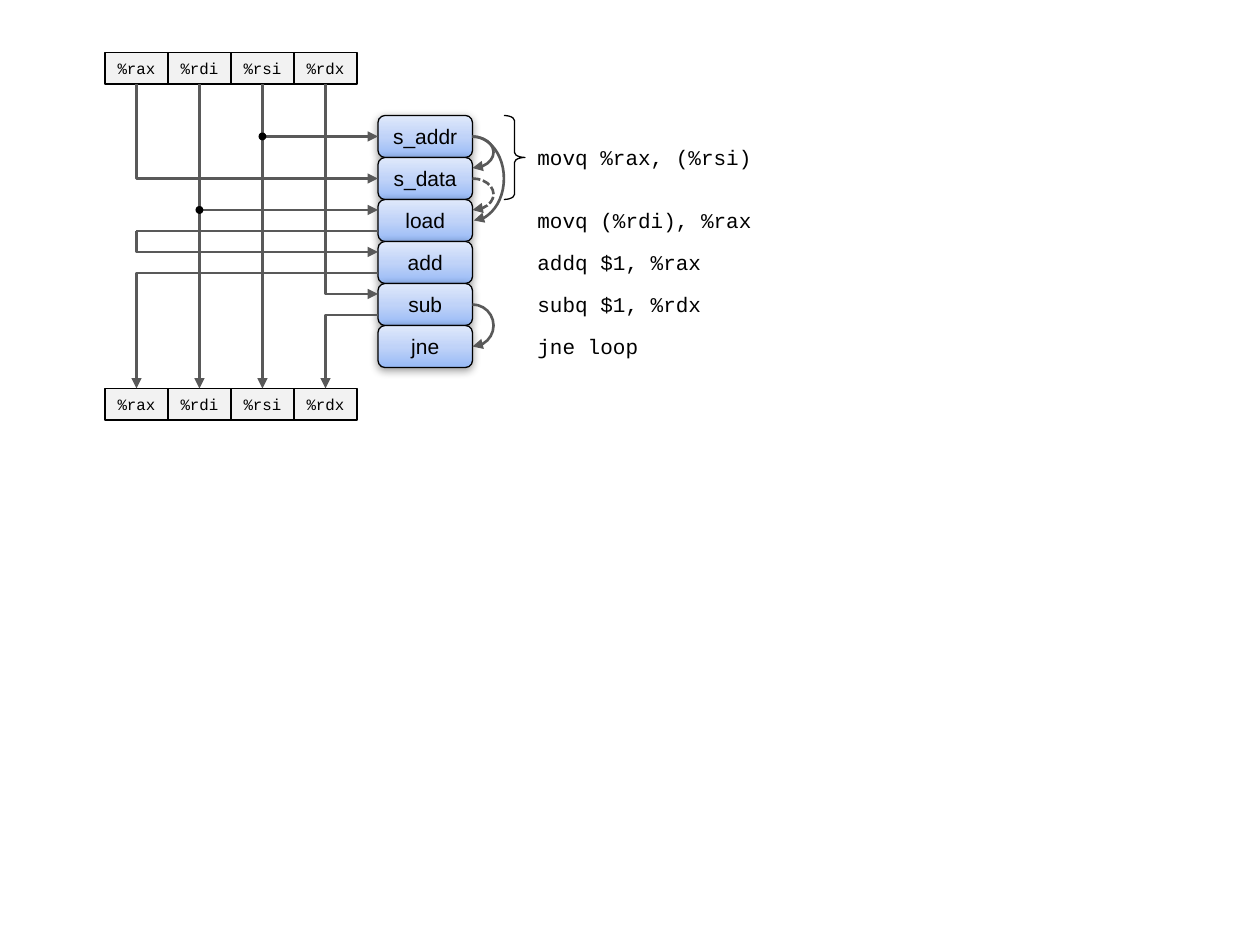
from copy import deepcopy

from lxml.etree import SubElement
from pptx import Presentation
from pptx.dml.color import RGBColor
from pptx.enum.dml import MSO_LINE
from pptx.enum.shapes import MSO_CONNECTOR, MSO_SHAPE
from pptx.enum.text import MSO_ANCHOR, PP_ALIGN
from pptx.oxml.ns import qn
from pptx.util import Inches, Pt

COLORS = {
    "ink": "000000", "wire": "595959", "register": "F2F2F2",
    "deep": "98BAF6", "mid": "C0D3F8", "pale": "E0E9FB",
}
REGISTERS = ["%rax", "%rdi", "%rsi", "%rdx"]
OPERATIONS = ["s_addr", "s_data", "load", "add", "sub", "jne"]
INSTRUCTIONS = [
    (0.5, "movq %rax, (%rsi)"), (2, "movq (%rdi), %rax"),
    (3, "addq $1, %rax"), (4, "subq $1, %rdx"), (5, "jne loop"),
]
CODE_FONT = {"name": "Courier New", "size": Pt(12)}
REGISTER_FONT = {"name": "Courier New", "size": Pt(9)}
OPERATION_FONT = {"name": "Arial", "size": Pt(12)}
NO_MARGINS = {"margin_left": 0, "margin_right": 0, "margin_top": 0, "margin_bottom": 0}
COLUMN, ROW = 6, 4


def grid(*units):
    """Turn grid units of a twelfth of an inch into lengths."""
    return [Inches(n / 12) for n in units]


def color(name):
    """Look up a named colour."""
    return RGBColor.from_string(COLORS[name])


def apply(target, values):
    """Set attributes from a dict of format values."""
    for name, value in values.items():
        setattr(target, name, value)


def write(sp, text, font, align, frame):
    """Put one line of formatted text in the middle of a shape."""
    tf = sp.text_frame
    apply(tf, {"vertical_anchor": MSO_ANCHOR.MIDDLE, **frame})
    p = tf.paragraphs[0]
    p.alignment = align
    r = p.add_run()
    r.text = text
    apply(r.font, font)
    r.font.color.rgb = color("ink")


def stroke(sp, name, width, arrow=False):
    """Colour a line and optionally give it an arrowhead."""
    sp.line.color.rgb = color(name)
    sp.line.width = Pt(width)
    if arrow:
        ln = sp._element.spPr.find(qn("a:ln"))
        SubElement(ln, qn("a:tailEnd"), type="triangle")


def add_shape(s, kind, box, fill=None):
    """Add a flat preset shape in a grid box."""
    sp = s.shapes.add_shape(kind, *grid(*box))
    sp.shadow.inherit = False
    if fill:
        sp.fill.solid()
        sp.fill.fore_color.rgb = color(fill)
    else:
        sp.fill.background()
    return sp


def add_wire(s, start, end, kind=MSO_CONNECTOR.STRAIGHT, arrow=True):
    """Add a connector between two grid points."""
    sp = s.shapes.add_connector(kind, *grid(*start, *end))
    stroke(sp, "wire", 1.5, arrow)
    SubElement(sp._element.spPr, qn("a:effectLst"))
    return sp


def add_elbow(s, start, end, preset, turn, flip, bend=None):
    """Add a bent connector turned to leave its start the right way."""
    sp = add_wire(s, start, end, MSO_CONNECTOR.ELBOW)
    (x1, y1), (x2, y2) = start, end
    w, h = abs(x2 - x1), abs(y2 - y1)
    if turn % 180:
        w, h = h, w
    box = ((x1 + x2 - w) / 2, (y1 + y2 - h) / 2, w, h)
    apply(sp, dict(zip(("left", "top", "width", "height"), grid(*box))))
    xfrm = sp._element.spPr.find(qn("a:xfrm"))
    for name in ("flipH", "flipV"):
        xfrm.set(name, "1" if name == flip else "0")
    xfrm.set("rot", str(turn * 60000))
    geom = sp._element.spPr.find(qn("a:prstGeom"))
    geom.set("prst", preset)
    if bend is not None:
        guides = geom.find(qn("a:avLst"))
        SubElement(guides, qn("a:gd"), name="adj1", fmla=f"val {bend}")


def add_registers(s, x, y):
    """Draw a row of register cells."""
    for i, name in enumerate(REGISTERS):
        sp = add_shape(s, MSO_SHAPE.RECTANGLE, (x + i * COLUMN, y, COLUMN, 3), "register")
        stroke(sp, "ink", 1)
        write(sp, name, REGISTER_FONT, PP_ALIGN.CENTER, {"word_wrap": False, **NO_MARGINS})


def shade(sp):
    """Give a block its gradient and soft shadow."""
    sp.fill.gradient()
    sp.fill.gradient_angle = 90
    stops = sp._element.spPr.find(".//" + qn("a:gsLst"))
    stops.append(deepcopy(stops[0]))
    for i, name in enumerate(("deep", "mid", "pale")):
        stop = sp.fill.gradient_stops[i]
        stop.position = i / 2
        stop.color.rgb = color(name)
    effects = sp._element.spPr.find(qn("a:effectLst"))
    shadow = SubElement(effects, qn("a:outerShdw"), blurRad=str(Pt(5)), dist=str(Pt(1.6)),
                        dir="5400000", algn="t", rotWithShape="0")
    tint = SubElement(shadow, qn("a:srgbClr"), val=COLORS["ink"])
    SubElement(tint, qn("a:alpha"), val="38000")


def add_operations(s, x, y):
    """Stack the operation blocks."""
    for i, name in enumerate(OPERATIONS):
        sp = add_shape(s, MSO_SHAPE.ROUNDED_RECTANGLE, (x, y + i * ROW, 9, ROW))
        shade(sp)
        stroke(sp, "ink", 0.75)
        write(sp, name, OPERATION_FONT, PP_ALIGN.CENTER, {"word_wrap": True, **NO_MARGINS})


def add_wiring(s, x, y, w, h):
    """Wire the registers to the operations across a box."""
    rax, rdi, rsi, rdx = (x + i * COLUMN for i in range(4))
    right, bottom = x + w, y + h
    for column in (rdi, rsi):
        add_wire(s, (column, y), (column, bottom))
    for column, level in ((rsi, y + 5), (rdi, y + 12)):
        add_wire(s, (column, level), (right, level))
        dot = add_shape(s, MSO_SHAPE.OVAL, (column - 0.38, level - 0.38, 0.75, 0.75), "ink")
        dot.line.fill.background()
    add_wire(s, (right, y + 14), (rax, y + 14), arrow=False)
    for elbow in (
        ((rax, y), (right, y + 9), "bentConnector2", 270, "flipH"),
        ((rax, y + 14), (right, y + 16), "bentConnector3", 0, None, 0),
        ((rdx, y), (right, y + 20), "bentConnector3", 270, "flipH", 100000),
        ((right, y + 18), (rax, bottom), "bentConnector2", 180, "flipV"),
        ((right, y + 22), (rdx, bottom), "bentConnector3", 90, None, 0),
    ):
        add_elbow(s, *elbow)


def add_dependencies(s, x, y):
    """Draw the arcs between operations to the right of an edge."""
    for top, w, h, end, dashed in (
        (2, 4, 3, 54, False), (18, 4, 4, 54, False),
        (2, 6, 8, 52.88, False), (6, 4, 3, 54, True),
    ):
        sp = add_shape(s, MSO_SHAPE.ARC, (x - w / 2, y + top, w, h))
        sp.adjustments[0], sp.adjustments[1] = 162, end
        if dashed:
            sp.line.dash_style = MSO_LINE.SQUARE_DOT
        stroke(sp, "wire", 1.5, arrow=True)


def add_code(s, x, y):
    """List the instructions beside their operations, with a brace for the store."""
    brace = add_shape(s, MSO_SHAPE.RIGHT_BRACE, (x, y, 2, 2 * ROW))
    brace.adjustments[0] = 0.24
    stroke(brace, "ink", 0.75)
    for row, text in INSTRUCTIONS:
        sp = s.shapes.add_textbox(*grid(x + 2, y + row * ROW, 33, ROW))
        write(sp, text, CODE_FONT, PP_ALIGN.LEFT, {"word_wrap": True})


def main():
    """Build and save the data-flow slide."""
    prs = Presentation()
    prs.slide_width, prs.slide_height = Inches(10), Inches(7.5)
    s = prs.slides.add_slide(prs.slide_layouts[6])
    add_registers(s, 10, 5)
    add_registers(s, 10, 37)
    add_operations(s, 36, 11)
    add_wiring(s, 13, 8, 23, 29)
    add_dependencies(s, 45, 11)
    add_code(s, 48, 11)
    prs.save("out.pptx")


if __name__ == "__main__":
    main()
